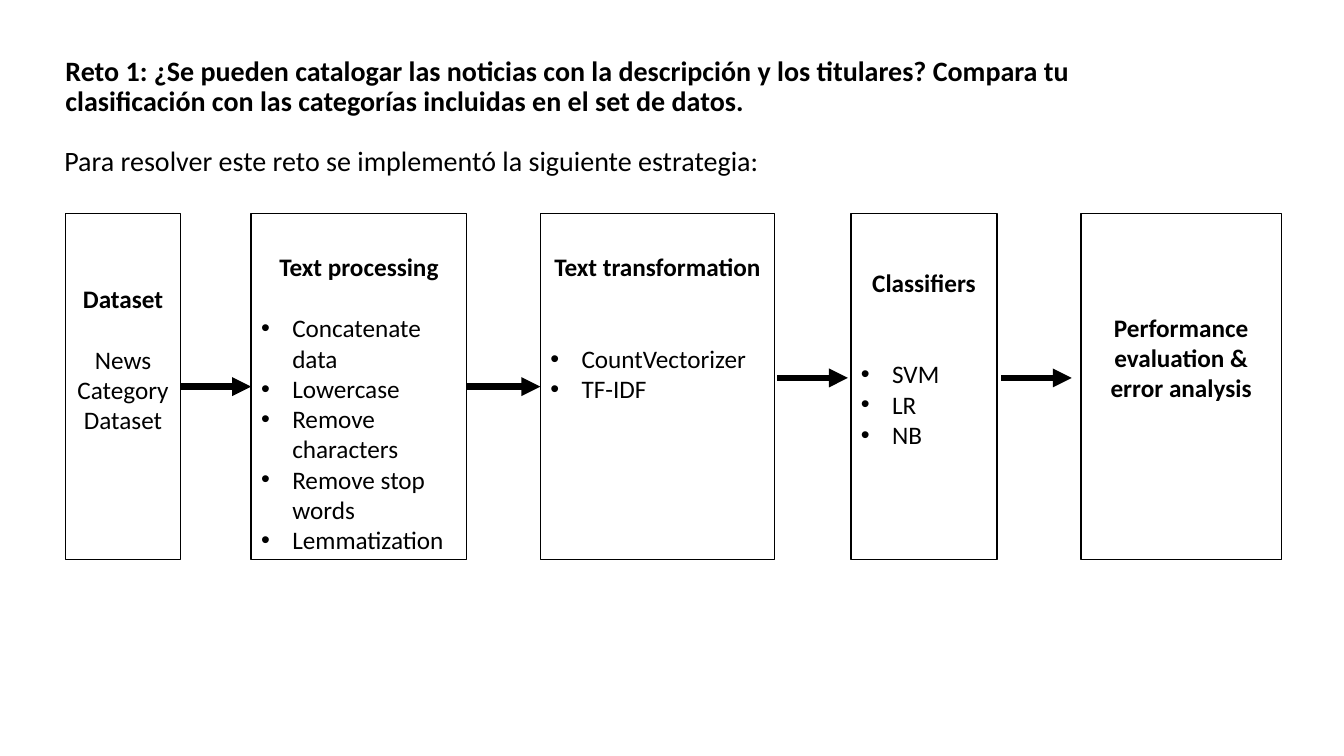
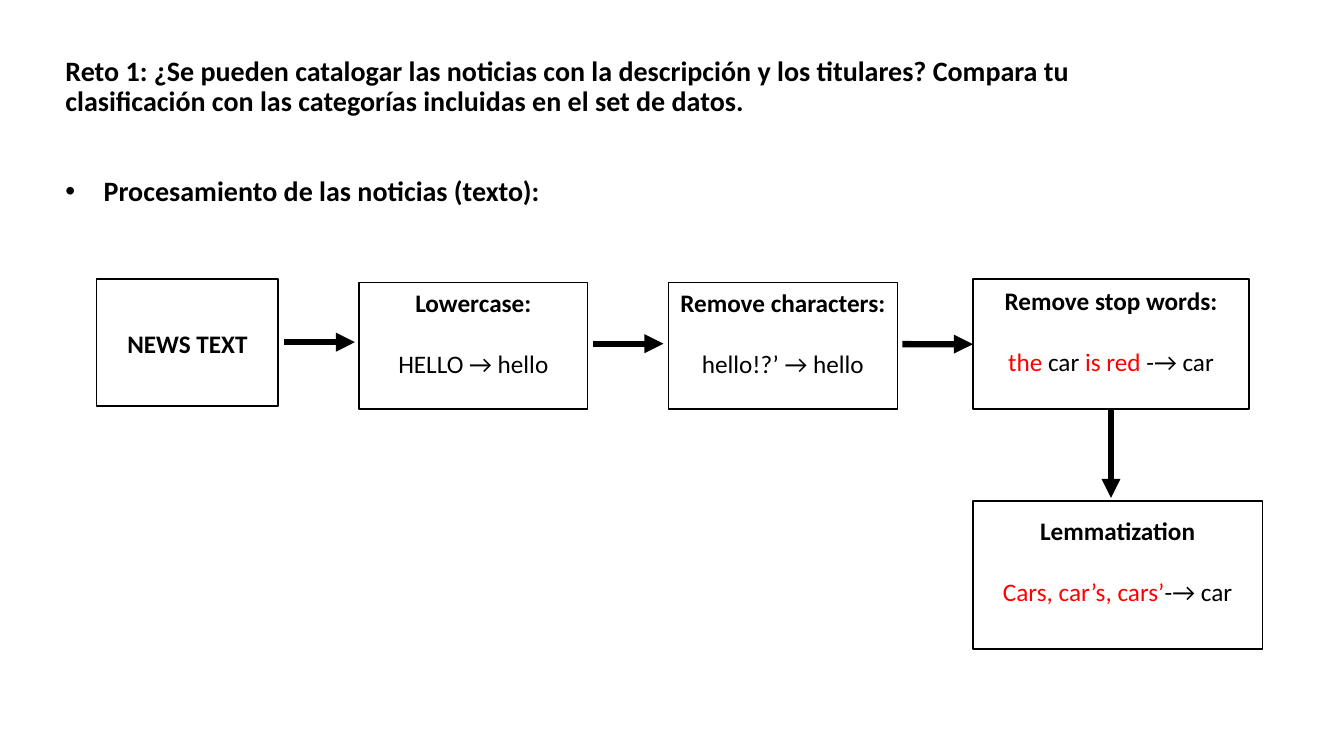
from dataclasses import dataclass
from pptx import Presentation
from pptx.dml.color import RGBColor
from pptx.enum.shapes import MSO_CONNECTOR, MSO_SHAPE
from pptx.enum.text import MSO_ANCHOR, PP_ALIGN
from pptx.oxml.ns import qn
from pptx.util import Inches, Pt
from lxml.etree import SubElement


@dataclass(frozen=True)
class Theme:
    font: str = "Calibri"
    ink: RGBColor = RGBColor(0, 0, 0)
    paper: RGBColor = RGBColor(255, 255, 255)
    red: RGBColor = RGBColor(255, 0, 0)
    title: int = 20
    body: int = 18
    row: int = 22  # height of one line of body text, in points
    edge: float = 1
    arrow: float = 4.5


@dataclass(frozen=True)
class Area:
    left: float
    top: float
    width: float
    height: float

    def point(self, x, y):
        """Point at percent x, y of this area."""
        return (int(self.left + self.width * x / 100),
                int(self.top + self.height * y / 100))

    def cell(self, x, y, width, height):
        """Area given in percent of this one."""
        return Area(*self.point(x, y), int(self.width * width / 100),
                    int(self.height * height / 100))

    def frame(self):
        return self.left, self.top, self.width, self.height


THEME = Theme()
PAGE = Area(0, 0, Inches(13.33), Inches(7.5))
RIGHT, LEFT, BOTTOM = 3, 1, 2
TITLE = ("Reto 1: ¿Se pueden catalogar las noticias con la descripción y los "
         "titulares? Compara tu clasificación con las categorías incluidas "
         "en el set de datos.")


# Text
def style(run, size, bold=False, color=THEME.ink):
    run.font.name = THEME.font
    run.font.size = Pt(size)
    run.font.bold = bold
    run.font.color.rgb = color


def bullet(para, indent):
    props = para._p.get_or_add_pPr()
    props.set("marL", str(Inches(indent)))
    props.set("indent", str(-Inches(indent)))
    SubElement(props, qn("a:buFont")).set("typeface", "Arial")
    SubElement(props, qn("a:buChar")).set("char", "•")


def label(slide, area, text, bold=False, dot=False):
    frame = slide.shapes.add_textbox(*area.frame()).text_frame
    frame.word_wrap = True
    frame.vertical_anchor = MSO_ANCHOR.MIDDLE
    frame.text = text
    para = frame.paragraphs[0]
    para.line_spacing = 0.9
    style(para.runs[0], THEME.title, bold)
    if dot:
        bullet(para, 0.38)


# Flow chart boxes and arrows
def card(slide, area, inset, head, lines=(), gap=1, dots=False):
    """Box whose text starts at inset percent; a tuple line alternates red and ink."""
    shape = slide.shapes.add_shape(MSO_SHAPE.RECTANGLE, *area.frame())
    shape.shadow.inherit = False
    shape.fill.solid()
    shape.fill.fore_color.rgb = THEME.paper
    shape.line.color.rgb = THEME.ink
    shape.line.width = Pt(THEME.edge)
    frame = shape.text_frame
    frame.word_wrap = True
    frame.vertical_anchor = MSO_ANCHOR.TOP
    frame.margin_top = int(area.height * inset / 100)
    frame.text = head
    para = frame.paragraphs[0]
    para.alignment = PP_ALIGN.CENTER
    style(para.runs[0], THEME.body, True)
    if lines:
        para.space_after = Pt(gap * THEME.row)
    for line in lines:
        para = frame.add_paragraph()
        para.alignment = PP_ALIGN.LEFT if dots else PP_ALIGN.CENTER
        if dots:
            bullet(para, 0.31)
        tinted = isinstance(line, tuple)
        for num, text in enumerate(line if tinted else (line,)):
            run = para.add_run()
            run.text = text
            red = tinted and num % 2 == 0
            style(run, THEME.body, color=THEME.red if red else THEME.ink)
    return shape


def arrow(slide, area, start=(0, 0), end=(0, 0), tail=None, head=None):
    """Arrow between percent points; tail and head join it to (shape, side)."""
    line = slide.shapes.add_connector(
        MSO_CONNECTOR.STRAIGHT, *area.point(*start), *area.point(*end))
    if tail:
        line.begin_connect(*tail)
    if head:
        line.end_connect(*head)
    line.line.color.rgb = THEME.ink
    line.line.width = Pt(THEME.arrow)
    props = line._element.spPr
    SubElement(props.get_or_add_ln(), qn("a:tailEnd")).set("type", "triangle")
    SubElement(props, qn("a:effectLst"))


# Regions
def plan(slide, area):
    """Five steps of the strategy."""
    steps = [
        (0, 9.45, 20.1, "Dataset", ["News Category Dataset"], 1, False),
        (15.26, 17.74, 11, "Text processing",
         ["Concatenate data", "Lowercase", "Remove characters",
          "Remove stop words", "Lemmatization"], 1, True),
        (39.05, 19.24, 11, "Text transformation",
         ["CountVectorizer", "TF-IDF"], 2, True),
        (64.59, 12.02, 15.4, "Classifiers", ["SVM", "LR", "NB"], 2, True),
        (83.5, 16.5, 28.4, "Performance evaluation & error analysis", [], 0, False),
    ]
    cards = [card(slide, area.cell(x, 0, width, 100), *rest)
             for x, width, *rest in steps]
    for one, two in zip(cards[:2], cards[1:3]):
        arrow(slide, area, tail=(one, RIGHT), head=(two, LEFT))
    for x in (58.54, 76.95):
        arrow(slide, area, (x, 47.5), (x + 5.8, 47.5))


def clean(slide, area):
    """Steps that clean the news text."""
    steps = [
        ((0, 0, 15.57, 34.33), 39, "NEWS TEXT", []),
        ((22.49, 0.82, 19.64, 34.33), 4, "Lowercase:", ["HELLO → hello"]),
        ((49.05, 0.82, 19.64, 34.33), 4, "Remove characters:", ["hello!?’ → hello"]),
        ((75.17, 0, 23.7, 35.15), 4.5, "Remove stop words:",
         [("the", " car ", "is red", " -→ car")]),
        ((75.17, 59.95, 24.83, 40.05), 10, "Lemmatization",
         [("Cars, car’s, cars’", "-→ car")]),
    ]
    cards = [card(slide, area.cell(*place), *rest) for place, *rest in steps]
    stop = cards[3]
    for x, y in ((16.09, 17.03), (42.56, 17.44)):
        arrow(slide, area, (x, y), (x + 6.06, y))
    arrow(slide, area, start=(69.12, 17.57), head=(stop, LEFT))
    arrow(slide, area, end=(87.02, 59.13), tail=(stop, BOTTOM))


def page(deck, intro, place, flow, region, **look):
    """Slide with the shared title, a lead line and a flow chart."""
    slide = deck.slides.add_slide(deck.slide_layouts[6])
    label(slide, PAGE.cell(4.13, 2, 86.27, 19.07), TITLE, bold=True)
    label(slide, PAGE.cell(*place), intro, **look)
    flow(slide, PAGE.cell(*region))


def main():
    deck = Presentation()
    deck.slide_width, deck.slide_height = PAGE.width, PAGE.height
    page(deck, "Para resolver este reto se implementó la siguiente estrategia:",
         (4.05, 15.73, 86.27, 11.47), plan, (4.88, 28.27, 90.47, 45.73))
    page(deck, "Procesamiento de las noticias (texto):",
         (4.13, 19.73, 86.27, 11.47), clean, (7.2, 36.93, 86.72, 48.93),
         bold=True, dot=True)
    deck.save("out.pptx")


if __name__ == "__main__":
    main()
